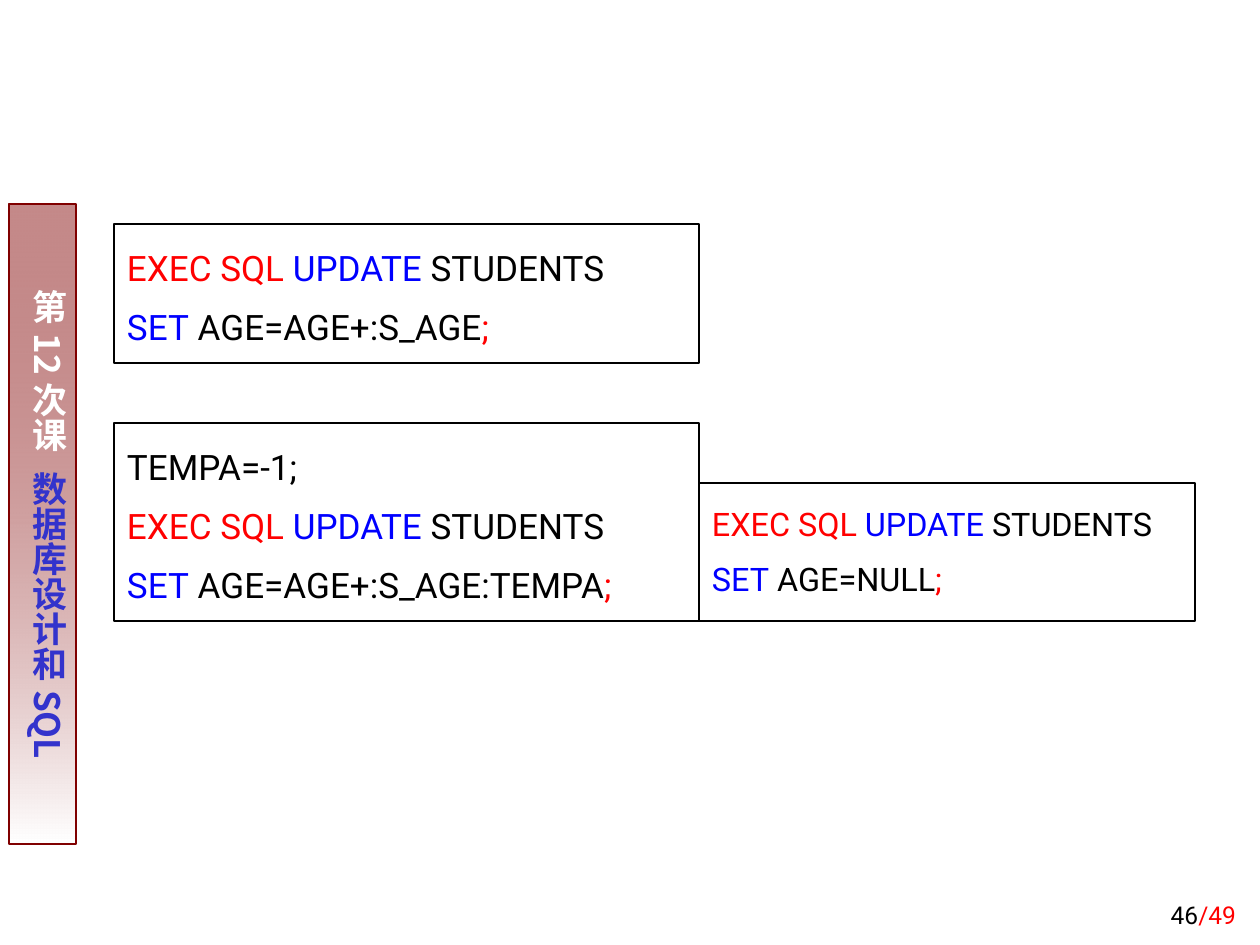
from lxml import etree
from pptx import Presentation
from pptx.dml.color import RGBColor
from pptx.enum.shapes import MSO_SHAPE as Shape
from pptx.enum.text import MSO_ANCHOR as Anchor, PP_ALIGN as Align
from pptx.oxml import parse_xml
from pptx.oxml.ns import nsdecls, qn
from pptx.util import Emu, Inches, Pt

BLACK = RGBColor(0x00, 0x00, 0x00)
WHITE = RGBColor(0xFF, 0xFF, 0xFF)
RED = RGBColor(0xFF, 0x00, 0x00)
BLUE = RGBColor(0x00, 0x00, 0xFF)
INDIGO = RGBColor(0x33, 0x33, 0xCC)
MAROON = RGBColor(0x80, 0x00, 0x00)

LATIN_FONT = "Roboto"
CHINESE_FONT = "Noto Sans CJK SC"
UPDATE_LINE = [("EXEC SQL ", RED), ("UPDATE ", BLUE), ("STUDENTS", BLACK)]


def px(length):
    return Emu(round(length * 914400 / 126))


def set_line(expression):
    return [("SET", BLUE), (f" AGE={expression}", BLACK), (";", RED)]


def write_text(shape, lines, *, size, font=LATIN_FONT, bold=False,
               align=Align.LEFT, anchor=Anchor.TOP, spacing=None,
               margins=(13, 6, 13, 6)):
    """Write lines, each a list of (text, colour) runs."""
    frame = shape.text_frame
    frame.word_wrap = True
    frame.vertical_anchor = anchor
    (frame.margin_left, frame.margin_top,
     frame.margin_right, frame.margin_bottom) = map(px, margins)
    for index, line in enumerate(lines):
        paragraph = frame.add_paragraph() if index else frame.paragraphs[0]
        paragraph.alignment = align
        if spacing:
            paragraph.line_spacing = spacing
        for text, colour in line:
            run = paragraph.add_run()
            run.text = text
            run.font.name = font
            run.font.size = Pt(size)
            run.font.bold = bold
            run.font.color.rgb = colour
            east_asian = etree.SubElement(run.font._element, qn("a:ea"))
            east_asian.set("typeface", font)


def add_box(slide, left, top, width, height, line_colour):
    shape = slide.shapes.add_shape(
        Shape.RECTANGLE, px(left), px(top), px(width), px(height))
    shape.shadow.inherit = False
    shape.fill.background()
    shape.line.color.rgb = line_colour
    shape.line.width = Pt(0.75)
    return shape


def add_code_box(slide, left, top, width, height, lines, size=20):
    shape = add_box(slide, left, top, width, height, BLACK)
    write_text(shape, lines, size=size, spacing=1.4)


def add_sidebar(slide):
    shape = add_box(slide, 9, 204, 67, 640, MAROON)
    # Fading gradient, top to bottom
    gradient = parse_xml(
        f'<a:gradFill {nsdecls("a")} rotWithShape="1"><a:gsLst>'
        f'<a:gs pos="0"><a:srgbClr val="{MAROON}"><a:alpha val="46000"/></a:srgbClr></a:gs>'
        f'<a:gs pos="100000"><a:srgbClr val="{WHITE}"/></a:gs>'
        '</a:gsLst><a:lin ang="5400000" scaled="0"/></a:gradFill>')
    properties = shape._element.spPr
    properties.replace(properties.find(qn("a:noFill")), gradient)
    write_text(shape,
               [[("第12次课", WHITE), (" ", WHITE), ("数据库设计和SQL", INDIGO)]],
               size=20, font=CHINESE_FONT, bold=True, margins=(6, 86, 6, 13))
    shape.text_frame._txBody.bodyPr.set("vert", "eaVert")
    # Widen the gap between the lesson number and its topic
    gap = shape.text_frame.paragraphs[0].runs[1]
    gap.font._element.set("spc", "570")


def add_page_number(slide):
    box = slide.shapes.add_textbox(px(987), px(872), px(262), px(63))
    write_text(box, [[("46", BLACK), ("/49", RED)]], size=14,
               align=Align.RIGHT, anchor=Anchor.BOTTOM)


def main():
    presentation = Presentation()
    presentation.slide_width = Inches(10)
    presentation.slide_height = Inches(7.5)
    slide = presentation.slides.add_slide(presentation.slide_layouts[6])

    add_sidebar(slide)
    add_page_number(slide)

    # Embedded SQL: plain update, update with indicator, its equivalent
    add_code_box(slide, 114, 224, 585, 139,
                 [UPDATE_LINE, set_line("AGE+:S_AGE")])
    add_code_box(slide, 114, 423, 585, 198,
                 [[("TEMPA=-1;", BLACK)], UPDATE_LINE,
                  set_line("AGE+:S_AGE:TEMPA")])
    add_code_box(slide, 699, 483, 496, 138,
                 [UPDATE_LINE, set_line("NULL")], size=18.5)

    presentation.save("out.pptx")


if __name__ == "__main__":
    main()
